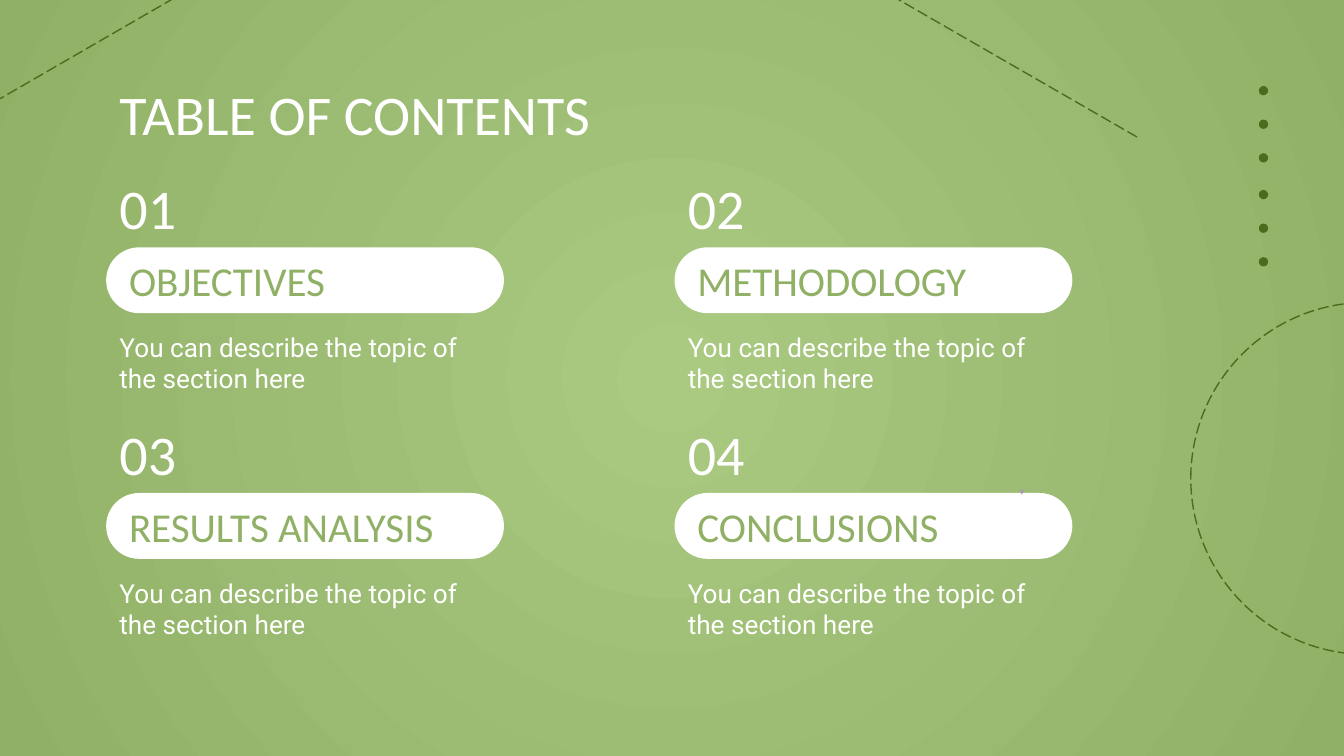
from dataclasses import dataclass

from lxml import etree
from pptx import Presentation
from pptx.dml.color import RGBColor
from pptx.enum.dml import MSO_LINE
from pptx.enum.shapes import MSO_CONNECTOR, MSO_SHAPE
from pptx.enum.text import MSO_ANCHOR, PP_ALIGN
from pptx.oxml.ns import qn
from pptx.util import Pt

OVAL = MSO_SHAPE.OVAL
PILL = MSO_SHAPE.ROUNDED_RECTANGLE
STRAIGHT = MSO_CONNECTOR.STRAIGHT
LONG_DASH = MSO_LINE.LONG_DASH
TOP, MIDDLE = MSO_ANCHOR.TOP, MSO_ANCHOR.MIDDLE
LEFT = PP_ALIGN.LEFT


@dataclass(frozen=True)
class Theme:
    light_green: RGBColor = RGBColor.from_string("AAC981")
    green: RGBColor = RGBColor.from_string("8FB065")
    dark_green: RGBColor = RGBColor.from_string("496D1C")
    white: RGBColor = RGBColor.from_string("FFFFFF")
    gray: RGBColor = RGBColor.from_string("A5A0A4")
    heading_font: str = "Calibri"
    body_font: str = "Roboto"
    title_size: int = 30
    section_size: int = 22
    body_size: int = 14


theme = Theme()


def write_text(shape, text, *, size, color, font=theme.heading_font, anchor=TOP):
    frame = shape.text_frame
    frame.word_wrap = True
    frame.vertical_anchor = anchor
    frame.margin_left = frame.margin_right = Pt(7.2)
    frame.margin_top = frame.margin_bottom = Pt(7.2)
    paragraph = frame.paragraphs[0]
    paragraph.alignment = LEFT
    run = paragraph.add_run()
    run.text = text
    run.font.name = font
    run.font.size = Pt(size)
    run.font.color.rgb = color


def dash_line(line):
    line.color.rgb = theme.dark_green
    line.width = Pt(0.75)
    line.dash_style = LONG_DASH


presentation = Presentation()
presentation.slide_width = Pt(720)
presentation.slide_height = Pt(405)
slide = presentation.slides.add_slide(presentation.slide_layouts[6])
shapes = slide.shapes

background = slide.background.fill
background.gradient()
for stop, color in zip(background.gradient_stops, (theme.light_green, theme.green)):
    stop.color.rgb = color
gradient = slide.background._cSld.find(".//" + qn("a:gradFill"))
gradient.remove(gradient.find(qn("a:lin")))
radial = etree.SubElement(gradient, qn("a:path"), path="circle")
etree.SubElement(radial, qn("a:fillToRect"), l="50000", t="50000", r="50000", b="50000")

circle = shapes.add_shape(OVAL, Pt(637.9), Pt(162), Pt(188.6), Pt(188.6))
circle.shadow.inherit = False
circle.fill.background()
dash_line(circle.line)

for ends in ((609.1, 73.4, 236.9, -141.1), (-347, 253.4, 263.5, -99.4)):
    connector = shapes.add_connector(STRAIGHT, *(Pt(value) for value in ends))
    dash_line(connector.line)
    etree.SubElement(connector._element.spPr, qn("a:effectLst"))

for group_top in (46.1, 101.8):
    for index in range(3):
        dot = shapes.add_shape(OVAL, Pt(674.4), Pt(group_top + 18 * index), Pt(5), Pt(5))
        dot.shadow.inherit = False
        dot.fill.solid()
        dot.fill.fore_color.rgb = theme.dark_green
        dot.line.fill.background()

title = shapes.add_textbox(Pt(56.9), Pt(35.3), Pt(607), Pt(45.4))
write_text(title, "TABLE OF CONTENTS", size=theme.title_size, color=theme.white)

sections = ("OBJECTIVES", "METHODOLOGY", "RESULTS ANALYSIS", "CONCLUSIONS")
for index, section in enumerate(sections):
    row, column = divmod(index, 2)
    left = Pt(56.9 + 304.5 * column)
    top = 132.5 + 131.6 * row

    pill = shapes.add_shape(PILL, left, Pt(top), Pt(213.1), Pt(35.3))
    pill.adjustments[0] = 0.5
    pill.shadow.inherit = False
    pill.fill.solid()
    pill.fill.fore_color.rgb = theme.white
    pill.line.fill.background()
    write_text(pill, section, size=theme.section_size, color=theme.green, anchor=MIDDLE)

    description = shapes.add_textbox(left, Pt(top + 37.9), Pt(216.7), Pt(38.2))
    write_text(description, "You can describe the topic of the section here",
               size=theme.body_size, color=theme.white, font=theme.body_font)

    number = shapes.add_textbox(left, Pt(top - 46.8), Pt(77.8), Pt(35.3))
    write_text(number, f"{index + 1:02}", size=theme.title_size, color=theme.white)

builder = shapes.build_freeform(Pt(546.5), Pt(262.1))
builder.add_line_segments([(Pt(547.2), Pt(265)), (Pt(549.4), Pt(262.8))])
fleck = builder.convert_to_shape()
fleck.shadow.inherit = False
fleck.fill.solid()
fleck.fill.fore_color.rgb = theme.gray
fleck.line.fill.background()

presentation.save("out.pptx")
